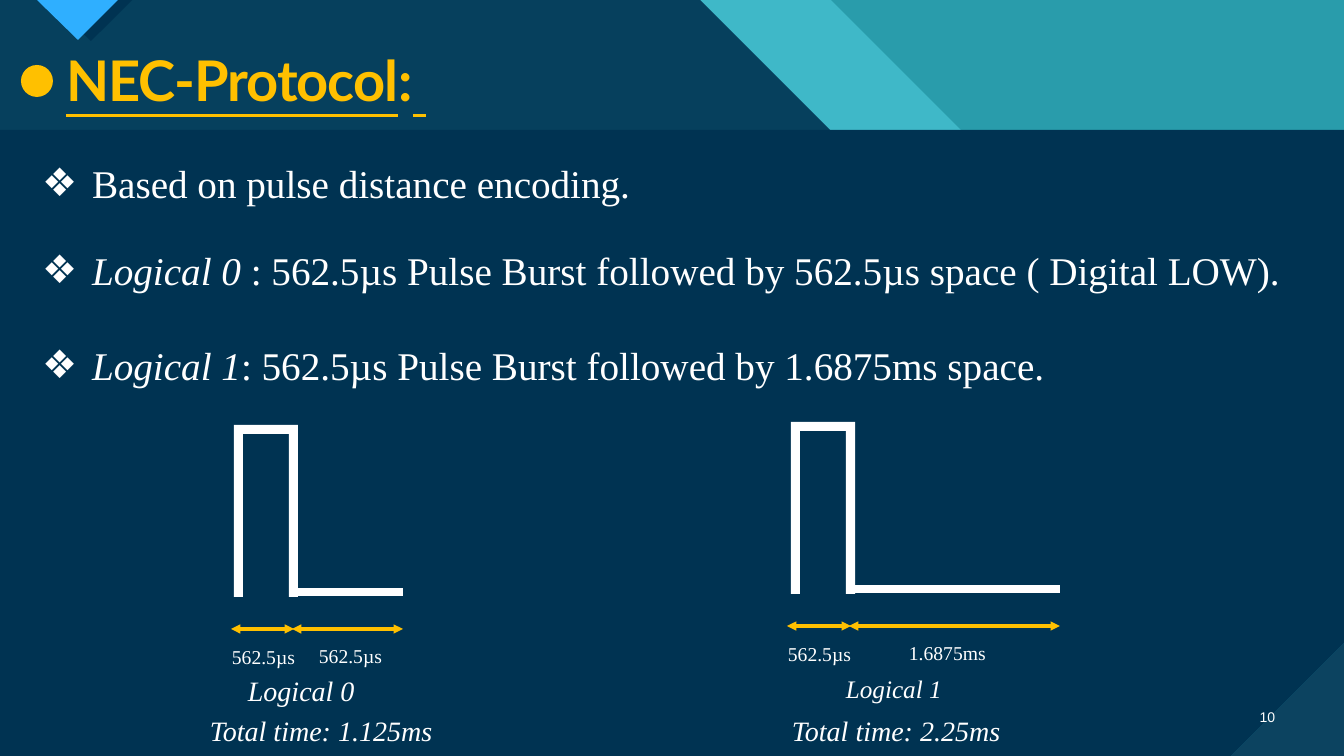
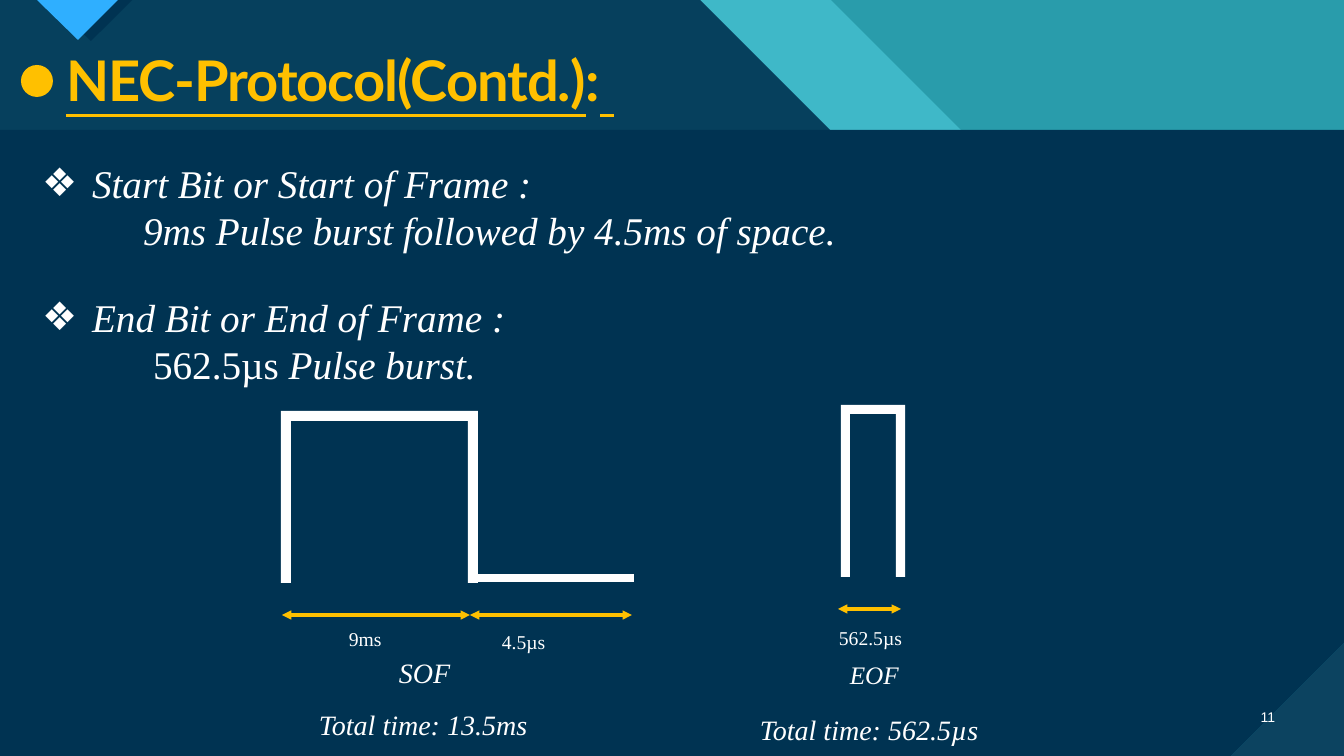
"""Build two slides on NEC protocol pulse timing."""
from dataclasses import dataclass

from lxml.etree import SubElement
from pptx import Presentation
from pptx.dml.color import RGBColor
from pptx.enum.shapes import MSO_CONNECTOR, MSO_SHAPE
from pptx.enum.text import MSO_ANCHOR, MSO_AUTO_SIZE, PP_ALIGN
from pptx.oxml.ns import qn
from pptx.util import Emu, Pt


@dataclass(frozen=True)
class Theme:
    teal: str = "299CAB"
    aqua: str = "47C3D3"
    navy: str = "003352"
    corner: str = "0C4360"
    blue: str = "2FAFFF"
    gold: str = "FFC000"
    white: str = "FFFFFF"
    title_font: str = "Lato"
    body_font: str = "Times New Roman"
    number_font: str = "Arial"
    title_size: int = 40
    body_size: int = 28
    body_pitch: float = 33.6
    name_size: int = 20
    small_name_size: int = 18
    time_size: int = 14
    number_size: int = 10
    arrow_width: float = 2.25
    low_width: int = 6


THEME = Theme()
EMU_PER_PX = 914400 / 100.8
WIDTH, HEIGHT = 1344, 756
BAND_BOTTOM = 130
PULSE_HEIGHT, LOW_OFFSET, ARROW_OFFSET = 172, 167, 204
BULLET_INDENT = 50

BACKDROP = [
    (THEME.aqua, 74, [(0, 0), (831, 0), (961, BAND_BOTTOM), (0, BAND_BOTTOM)]),
    (THEME.navy, 90, [(0, 0), (700, 0), (830, BAND_BOTTOM), (0, BAND_BOTTOM)]),
    (THEME.navy, 100, [(48, 0), (132, 0), (91, 41)]),
    (THEME.blue, 100, [(37, 0), (118, 0), (78, 40)]),
    (THEME.corner, 100, [(WIDTH, 643), (WIDTH, HEIGHT), (1231, HEIGHT)]),
    (THEME.navy, 100, [(0, BAND_BOTTOM), (WIDTH, BAND_BOTTOM), (WIDTH, 643),
                       (1231, HEIGHT), (0, HEIGHT)]),
]

SLIDES = [
    {
        "number": "10",
        "title": "NEC-Protocol",
        "points": [
            {"runs": [("Based on pulse distance encoding.", False)]},
            {"runs": [("Logical 0", True),
                      (" : 562.5µs Pulse Burst followed by 562.5µs space ( Digital LOW).", False)],
             "gap": 40},
            {"runs": [("Logical 1", True),
                      (": 562.5µs Pulse Burst followed by 1.6875ms space.", False)],
             "gap": 48},
        ],
        "signals": [
            {"pulse": (234, 425, 64, 9), "low_end": 403,
             "spans": [(231, 294), (292, 403)]},
            {"pulse": (791, 422, 64, 9), "low_end": 1060,
             "spans": [(787, 851), (849, 1060)]},
        ],
        "times": [("562.5µs", 222, 640, 84), ("562.5µs", 309, 639, 84),
                  ("562.5µs", 778, 637, 84), ("1.6875ms", 899, 636, 98)],
        "names": [("Logical 0", 238, 669, 135, THEME.name_size),
                  ("Logical 1", 836, 668, 117, THEME.small_name_size),
                  ("Total time: 1.125ms", 200, 709, 252, THEME.name_size),
                  ("Total time: 2.25ms", 782, 709, 238, THEME.name_size)],
    },
    {
        "number": "11",
        "title": "NEC-Protocol(Contd.)",
        "points": [
            {"runs": [("Start Bit or Start of Frame :", True)]},
            {"runs": [("9ms Pulse burst followed by 4.5ms of space.", True)], "indent": 101},
            {"runs": [("End Bit or End of Frame :", True)], "gap": 40},
            {"runs": [("562.5µs", False), (" Pulse burst.", True)], "indent": 111},
        ],
        "signals": [
            {"pulse": (281, 411, 197, 10), "low_end": 634,
             "spans": [(282, 470), (470, 632)]},
            {"pulse": (841, 405, 64, 9), "low_end": None, "spans": [(838, 901)]},
        ],
        "times": [("9ms", 339, 622, 53), ("4.5µs", 492, 625, 65),
                  ("562.5µs", 829, 621, 84)],
        "names": [("SOF", 389, 651, 73, THEME.name_size),
                  ("EOF", 840, 654, 70, THEME.small_name_size),
                  ("Total time: 13.5ms", 309, 703, 238, THEME.name_size),
                  ("Total time: 562.5µs", 750, 708, 247, THEME.name_size)],
    },
]


def px(length):
    return Emu(round(length * EMU_PER_PX))


def rgb(color):
    return RGBColor.from_string(color)


def style(font, family, size, color):
    font.name, font.size = family, Pt(size)
    font.color.rgb = rgb(color)


def paint(shape, color, opacity=100):
    shape.shadow.inherit = False
    shape.fill.solid()
    shape.fill.fore_color.rgb = rgb(color)
    shape.line.fill.background()
    if opacity < 100:
        tint = shape.element.spPr.find(qn("a:solidFill"))[0]
        SubElement(tint, qn("a:alpha")).set("val", str(opacity * 1000))


def add_outline(slide, corners, color, opacity=100):
    builder = slide.shapes.build_freeform(*corners[0], scale=EMU_PER_PX)
    builder.add_line_segments(corners[1:])
    outline = builder.convert_to_shape()
    paint(outline, color, opacity)
    return outline


def add_level(slide, start, end, y, color, width, arrows=False):
    level = slide.shapes.add_connector(
        MSO_CONNECTOR.STRAIGHT, px(start), px(y), px(end), px(y))
    level.line.color.rgb = rgb(color)
    level.line.width = Pt(width)
    properties = level.element.spPr
    if arrows:
        for end_tag in ("a:headEnd", "a:tailEnd"):
            SubElement(properties.find(qn("a:ln")), qn(end_tag)).set("type", "triangle")
    SubElement(properties, qn("a:effectLst"))


def add_label(slide, text, left, top, width, height, size, family=THEME.body_font):
    frame = slide.shapes.add_textbox(px(left), px(top), px(width), px(height)).text_frame
    frame.word_wrap = False
    frame.auto_size = MSO_AUTO_SIZE.SHAPE_TO_FIT_TEXT
    label = frame.paragraphs[0]
    label.text = text
    style(label.font, family, size, THEME.white)
    return label


def add_signal(slide, signal):
    left, top, width, wall = signal["pulse"]
    right, bottom = left + width, top + PULSE_HEIGHT
    add_outline(slide, [
        (left, bottom), (left, top), (right, top), (right, bottom),
        (right - wall, bottom), (right - wall, top + wall),
        (left + wall, top + wall), (left + wall, bottom)], THEME.white)
    if signal["low_end"]:
        add_level(slide, right - wall // 2, signal["low_end"], top + LOW_OFFSET,
                  THEME.white, THEME.low_width)
    for start, end in signal["spans"]:
        add_level(slide, start, end, top + ARROW_OFFSET, THEME.gold,
                  THEME.arrow_width, arrows=True)


def fill_title(title, text):
    frame = title.text_frame
    frame.auto_size = MSO_AUTO_SIZE.NONE
    heading = frame.paragraphs[0]
    heading.alignment = PP_ALIGN.LEFT
    heading.line_spacing = 0.9
    style(heading.font, THEME.title_font, THEME.title_size, THEME.gold)
    heading.font.bold = True
    for part, underlined in ((text, True), (":", False), (" ", True)):
        run = heading.add_run()
        run.text = part
        run.font.underline = underlined
    for run_properties in title.element.iter(qn("a:rPr")):
        run_properties.set("spc", "-70")


def fill_points(body, points):
    frame = body.text_frame
    frame.auto_size = MSO_AUTO_SIZE.NONE
    for index, point in enumerate(points):
        line = frame.add_paragraph() if index else frame.paragraphs[0]
        line.line_spacing = Pt(THEME.body_pitch)
        line.space_before = px(point.get("gap", 0))
        properties = line._p.get_or_add_pPr()
        indent = point.get("indent")
        properties.set("marL", str(px(indent or BULLET_INDENT)))
        properties.set("indent", "0" if indent else str(px(-BULLET_INDENT)))
        if indent:
            SubElement(properties, qn("a:buNone"))
        else:
            SubElement(properties, qn("a:buChar")).set("char", "❖")
        style(line.font, THEME.body_font, THEME.body_size, THEME.white)
        for text, italic in point["runs"]:
            run = line.add_run()
            run.text = text
            run.font.italic = italic


def place(placeholder, left, top, width, height, anchor):
    placeholder.left, placeholder.top = px(left), px(top)
    placeholder.width, placeholder.height = px(width), px(height)
    placeholder.text_frame.vertical_anchor = anchor


def dress_layout(layout, slide):
    place(layout.placeholders[0], 56, 47, 1236, 72, MSO_ANCHOR.MIDDLE)
    place(layout.placeholders[1], 32, 154, 1275, 250, MSO_ANCHOR.TOP)
    pieces = [add_outline(slide, corners, color, opacity)
              for color, opacity, corners in BACKDROP]
    dot = slide.shapes.add_shape(MSO_SHAPE.OVAL, px(21), px(65), px(32), px(32))
    paint(dot, THEME.gold)
    for order, piece in enumerate([*pieces, dot]):
        piece.element.xpath(".//p:cNvPr")[0].set("id", str(100 + order))
        layout.shapes.element.insert(2 + order, piece.element)


def main():
    deck = Presentation()
    deck.slide_width, deck.slide_height = px(WIDTH), px(HEIGHT)
    backdrop = deck.slide_master.background.fill
    backdrop.solid()
    backdrop.fore_color.rgb = rgb(THEME.teal)
    layout = deck.slide_layouts[1]
    for order, content in enumerate(SLIDES):
        slide = deck.slides.add_slide(layout)
        if order == 0:
            dress_layout(layout, slide)
        fill_title(slide.shapes.title, content["title"])
        fill_points(slide.placeholders[1], content["points"])
        for signal in content["signals"]:
            add_signal(slide, signal)
        for text, left, top, width in content["times"]:
            add_label(slide, text, left, top, width, 34, THEME.time_size)
        for text, left, top, width, size in content["names"]:
            add_label(slide, text, left, top, width, 44, size).font.italic = True
        number = add_label(slide, content["number"], 1241, 704, 44, 26,
                           THEME.number_size, THEME.number_font)
        number.alignment = PP_ALIGN.RIGHT
    deck.save("out.pptx")


if __name__ == "__main__":
    main()
